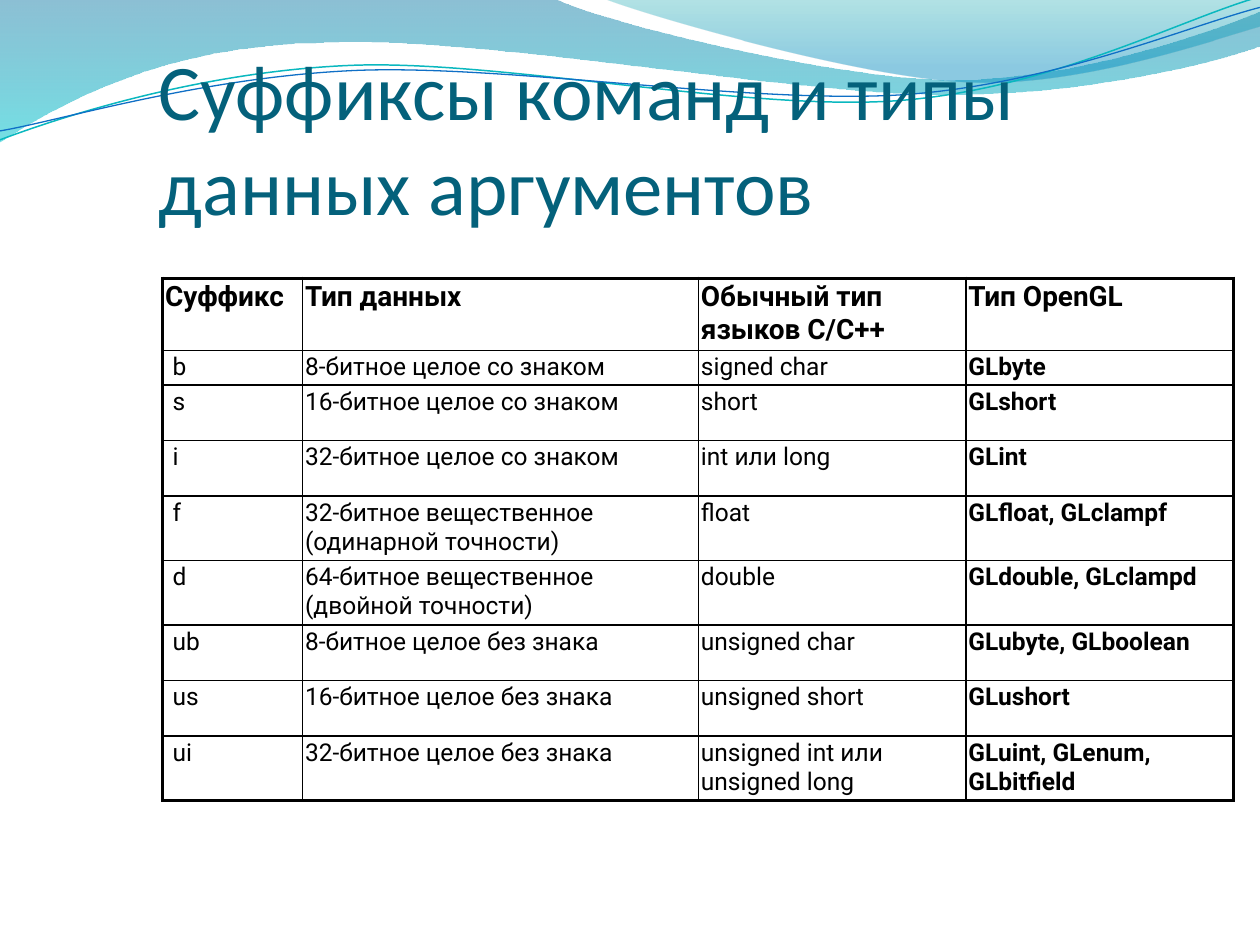
from lxml import etree
from pptx import Presentation, util as u
from pptx.dml.color import RGBColor
from pptx.enum import text
from pptx.oxml import ns


def color(hex_value):
    return RGBColor.from_string(hex_value)


def draw_curve(slide, start, segments, closed):
    """Draw straight (x, y) and cubic Bezier (x1, y1, x2, y2, x, y) segments, in cm."""
    builder = slide.shapes.build_freeform(u.Cm(start[0]), u.Cm(start[1]), scale=1.0)
    builder.add_line_segments([(u.Cm(s[-2]), u.Cm(s[-1])) for s in segments], close=closed)
    outline = builder.convert_to_shape()
    outline.shadow.inherit = False
    # Bend the straight steps that have control points
    steps = list(outline._element.iter(ns.qn("a:lnTo")))
    for step, segment in zip(steps, segments):
        if len(segment) == 6:
            step.tag = ns.qn("a:cubicBezTo")
            step.clear()
            for x, y in zip(segment[::2], segment[1::2]):
                etree.SubElement(step, ns.qn("a:pt"), x=str(u.Cm(x) - outline.left),
                                 y=str(u.Cm(y) - outline.top))
    return outline


deck = Presentation()
deck.slide_width, deck.slide_height = u.Cm(25.4), u.Cm(19.05)
slide = deck.slides.add_slide(deck.slide_layouts[6])

# Translucent waves: start, segments, gradient stops (position, colour, opacity %)
waves = [
    ((0, -0.03),
     [(11.18, -0.03), (12.09, 0.43, 16.87, 1.6, 19.25, 1.6),
      (21.67, 1.6, 24.33, 0.66, 25.4, 0.23), (25.43, 0.91),
      (24.97, 1.12, 22.1, 1.93, 18.95, 1.9), (15.8, 1.9, 9.7, 0.71, 6.53, 0.86),
      (3.28, 0.89, 1.17, 2.11, -0.03, 2.87)],
     [(0, "0074A1", 45), (1, "00C6CF", 55)]),
    ((12.17, -0.03),
     [(12.93, 0.28, 17.32, 1.57, 19.53, 1.65),
      (21.74, 1.75, 24.41, 0.81, 25.4, 0.53), (25.4, 0)],
     [(0, "00A1A9", 30), (0.8, "008BBF", 45)]),
]
for start, segments, stops in waves:
    wave = draw_curve(slide, start, segments, True)
    wave.line.fill.background()
    wave.fill.gradient()
    wave.fill.gradient_angle = 270
    for stop, (position, tint, _) in zip(wave.fill.gradient_stops, stops):
        stop.position = position
        stop.color.rgb = color(tint)
    tints = wave._element.spPr.iter(ns.qn("a:srgbClr"))
    for tint_xml, (_, _, opacity) in zip(tints, stops):
        etree.SubElement(tint_xml, ns.qn("a:alpha"), val=str(opacity * 1000))

# Thin lines that follow the waves
strands = [
    ((0, 2.82),
     [(1.22, 2.36, 4.01, 1.45, 7.04, 1.32), (10.03, 1.19, 15.06, 2.26, 18.11, 2.03),
      (21.16, 1.8, 23.83, 0.38, 25.35, -0.05)], "0AB8BF", 0.85),
    ((0, 2.64),
     [(1.19, 2.44, 4.09, 1.55, 7.19, 1.42), (10.24, 1.3, 15.14, 2.11, 18.21, 1.91),
      (21.23, 1.7, 23.93, 0.53, 25.4, 0.15)], "0F6FC6", 0.75),
]
for start, segments, tint, weight in strands:
    strand = draw_curve(slide, start, segments, False)
    strand.fill.background()
    strand.line.color.rgb = color(tint)
    strand.line.width = u.Pt(weight)

# Title
title = slide.shapes.add_textbox(u.Cm(3.2), u.Cm(0.6), u.Cm(21.64), u.Cm(4.06))
frame = title.text_frame
frame.word_wrap = True
frame.vertical_anchor = text.MSO_ANCHOR.BOTTOM
frame.margin_left = frame.margin_right = frame.margin_bottom = 0
frame.margin_top = u.Cm(0.13)
frame.text = "Суффиксы команд и типы данных аргументов"
title_font = frame.paragraphs[0].runs[0].font
title_font.name, title_font.size = "Calibri", u.Pt(45)
title_font.color.rgb = color("04617B")

# Table of suffixes: row height in cm, then the cells
suffixes = [
    (1.44, "Суффикс", "Тип данных", "Обычный тип языков C/C++", "Тип OpenGL"),
    (0.69, "b", "8-битное целое со знаком", "signed char", "GLbyte"),
    (1.12, "s", "16-битное целое со знаком", "short", "GLshort"),
    (1.12, "i", "32-битное целое со знаком", "int или long", "GLint"),
    (1.3, "f", "32-битное вещественное (одинарной точности)", "float", "GLfloat, GLclampf"),
    (1.3, "d", "64-битное вещественное (двойной точности)", "double", "GLdouble, GLclampd"),
    (1.12, "ub", "8-битное целое без знака", "unsigned char", "GLubyte, GLboolean"),
    (1.12, "us", "16-битное целое без знака", "unsigned short", "GLushort"),
    (1.3, "ui", "32-битное целое без знака", "unsigned int или unsigned long",
     "GLuint, GLenum, GLbitfield"),
]
widths = [2.82, 7.98, 5.39, 5.39]
last_row, last_column = len(suffixes) - 1, len(widths) - 1
table = slide.shapes.add_table(len(suffixes), len(widths), u.Cm(3.28), u.Cm(5.61),
                               u.Cm(sum(widths)), u.Cm(sum(row[0] for row in suffixes))).table
table.first_row = table.horz_banding = False
for column, width in zip(table.columns, widths):
    column.width = u.Cm(width)

for r, (height, *entries) in enumerate(suffixes):
    table.rows[r].height = u.Cm(height)
    for c, entry in enumerate(entries):
        cell = table.cell(r, c)
        cell.margin_right = cell.margin_top = cell.margin_bottom = u.Cm(0.05)
        cell.margin_left = u.Cm(0.2 if c == 0 and r > 0 else 0.05)
        cell.text_frame.text = entry
        font = cell.text_frame.paragraphs[0].runs[0].font
        font.name, font.size = "Roboto", u.Pt(14 if r else 16)
        font.bold = r == 0 or c == last_column
        font.color.rgb = color("000000")

        # Thick outer frame, thin inner rules; borders precede the fill
        cell_xml = cell._tc.get_or_add_tcPr()
        outer = {"L": c == 0, "R": c == last_column, "T": r == 0, "B": r == last_row}
        for side, is_outer in outer.items():
            border = etree.SubElement(cell_xml, ns.qn("a:ln" + side),
                                      w=str(u.Pt(2.25 if is_outer else 1)))
            ink = etree.SubElement(border, ns.qn("a:solidFill"))
            etree.SubElement(ink, ns.qn("a:srgbClr"), val="000000")
        cell.fill.background()

deck.save("out.pptx")
